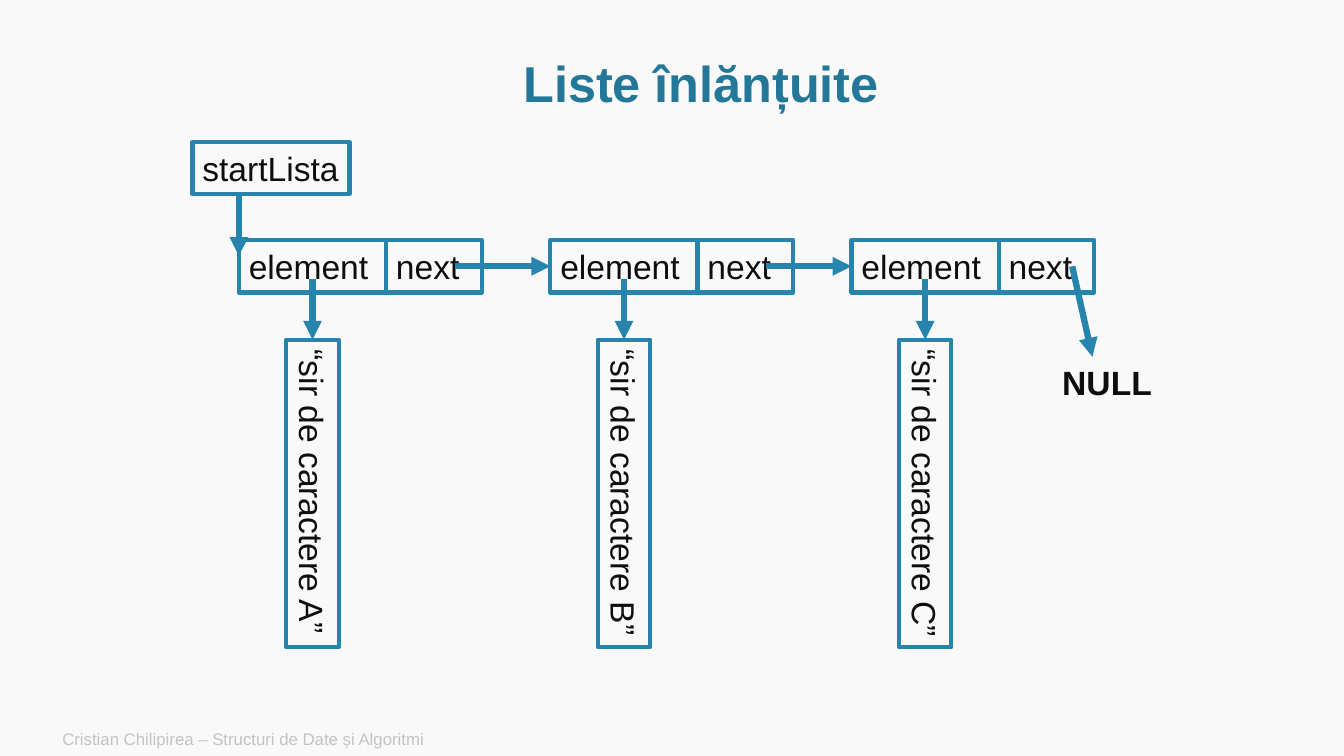
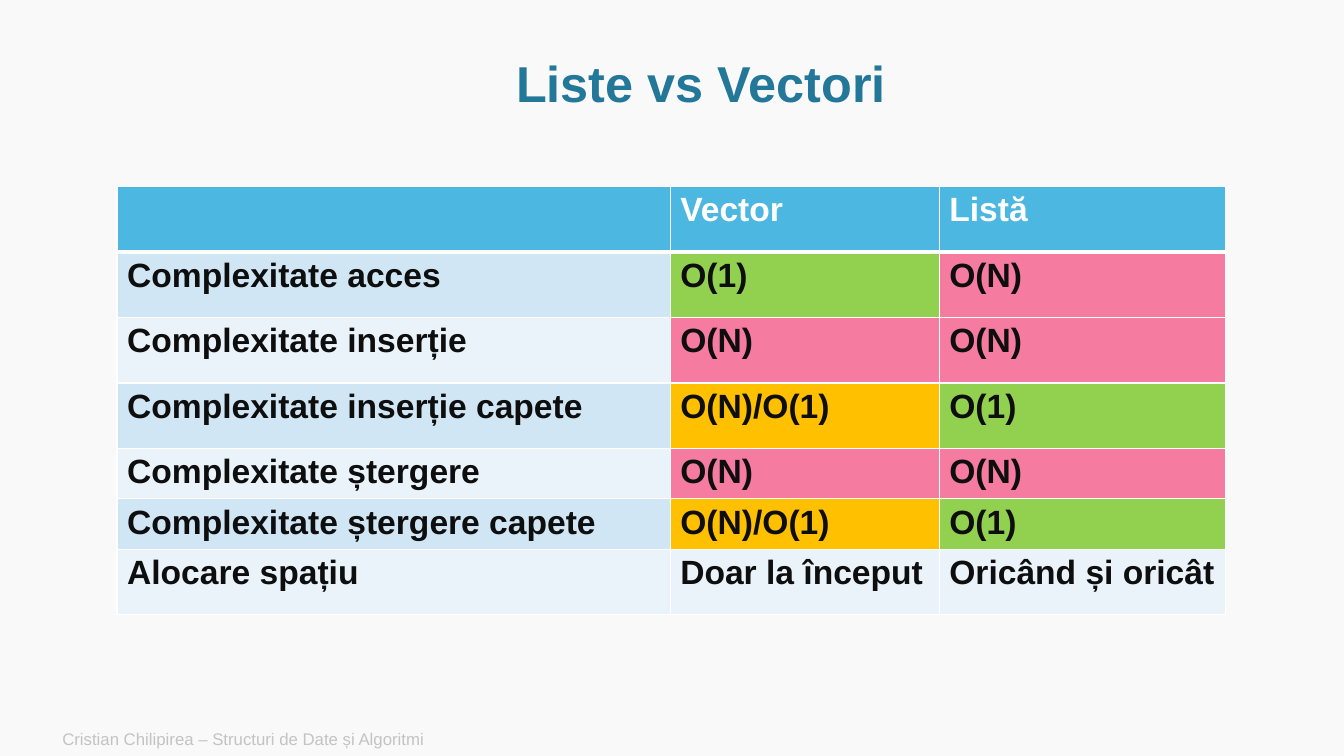
from pptx import Presentation
from pptx.dml.color import RGBColor
from pptx.enum import shapes, text
from pptx.oxml import parse_xml
from pptx.oxml.ns import nsdecls
from pptx.util import Cm, Pt

FONT = "Arial"
BACKGROUND = RGBColor(0xF9, 0xF9, 0xF9)
TITLE = RGBColor(0x23, 0x77, 0x98)
OUTLINE = RGBColor(0x27, 0x85, 0xAD)
INK = RGBColor(0x0E, 0x0E, 0x0E)
MUTED = RGBColor(0xC3, 0xC3, 0xC3)
WHITE = RGBColor(0xFF, 0xFF, 0xFF)
HEADER = RGBColor(0x4C, 0xB7, 0xE1)
BANDS = (RGBColor(0xD0, 0xE6, 0xF4), RGBColor(0xE9, 0xF3, 0xF9))
COST_COLORS = {
    "O(1)": RGBColor(0x92, 0xD0, 0x50),
    "O(N)": RGBColor(0xF5, 0x7B, 0xA1),
    "O(N)/O(1)": RGBColor(0xFF, 0xC0, 0x00),
}

FOOTER = "Cristian Chilipirea – Structuri de Date și Algoritmi"
LIST_TITLE = "Liste înlănțuite"
NODES = [
    (6.02, "“sir de caractere A”"),
    (13.87, "“sir de caractere B”"),
    (21.46, "“sir de caractere C”"),
]
COMPARISON_TITLE = "Liste vs Vectori"
COMPARISON = [
    ("", "Vector", "Listă"),
    ("Complexitate acces", "O(1)", "O(N)"),
    ("Complexitate inserție", "O(N)", "O(N)"),
    ("Complexitate inserție capete", "O(N)/O(1)", "O(1)"),
    ("Complexitate ștergere", "O(N)", "O(N)"),
    ("Complexitate ștergere capete", "O(N)/O(1)", "O(1)"),
    ("Alocare spațiu", "Doar la început", "Oricând și oricât"),
]
COLUMN_WIDTHS = (13.94, 6.78, 7.21)
ROW_HEIGHTS = (1.65, 1.65, 1.65, 1.65, 1.2, 1.2, 1.65)

BOX_HEIGHT = 1.32
NODE_TOP = 6.05
NODE_MIDDLE = NODE_TOP + BOX_HEIGHT / 2
ELEMENT_WIDTH, NEXT_WIDTH = 3.71, 2.41
NEXT_ARROW_OFFSET = 5.44
STRING_TOP, STRING_LENGTH = 8.56, 7.75


def write(frame, content, size=24, color=INK, bold=False, align=None,
          anchor=None, wrap=None, line_spacing=None):
    if wrap is not None:
        frame.word_wrap = wrap
    if anchor is not None:
        frame.vertical_anchor = anchor
    paragraph = frame.paragraphs[0]
    paragraph.alignment = align
    paragraph.line_spacing = line_spacing
    paragraph.font.size = Pt(size)
    run = paragraph.add_run()
    run.text = content
    run.font.name = FONT
    run.font.size = Pt(size)
    run.font.bold = bold
    run.font.color.rgb = color


def add_label(slide, content, left, top, width, height, **style):
    label = slide.shapes.add_textbox(Cm(left), Cm(top), Cm(width), Cm(height))
    write(label.text_frame, content, **style)


def add_box(slide, content, left, top, width, rotation=0):
    box = slide.shapes.add_shape(shapes.MSO_SHAPE.RECTANGLE, Cm(left), Cm(top),
                                 Cm(width), Cm(BOX_HEIGHT))
    box.shadow.inherit = False
    box.fill.background()
    box.line.color.rgb = OUTLINE
    box.line.width = Pt(3)
    box.rotation = rotation
    write(box.text_frame, content, align=text.PP_ALIGN.LEFT,
          anchor=text.MSO_ANCHOR.MIDDLE, wrap=False)
    return box


def add_arrow(slide, start, end, target=None):
    arrow = slide.shapes.add_connector(shapes.MSO_CONNECTOR.STRAIGHT,
                                       *map(Cm, start + end))
    if target is not None:
        arrow.end_connect(target, 1)
        arrow.end_x, arrow.end_y = map(Cm, end)
    arrow.line.color.rgb = OUTLINE
    arrow.line.width = Pt(4.5)
    arrow.line._get_or_add_ln().append(
        parse_xml(f'<a:tailEnd {nsdecls("a")} type="triangle"/>'))
    arrow._element.spPr.append(parse_xml(f'<a:effectLst {nsdecls("a")}/>'))


def set_borders(cell, **widths):
    properties = cell._tc.get_or_add_tcPr()
    for side in "LRTB":
        properties.append(parse_xml(
            f'<a:ln{side} {nsdecls("a")} w="{Pt(widths.get(side, 1))}"><a:solidFill>'
            f'<a:srgbClr val="{WHITE}"/></a:solidFill></a:ln{side}>'))


def add_slide(prs, title):
    slide = prs.slides.add_slide(prs.slide_layouts[6])
    slide.background.fill.solid()
    slide.background.fill.fore_color.rgb = BACKGROUND
    add_label(slide, title, 2.9, 1.3, 29.54, 1.75, size=36, color=TITLE, bold=True,
              align=text.PP_ALIGN.CENTER, anchor=text.MSO_ANCHOR.MIDDLE,
              wrap=True, line_spacing=0.9)
    add_label(slide, FOOTER, 1.32, 18.19, 21.34, 0.86, size=12, color=MUTED,
              anchor=text.MSO_ANCHOR.MIDDLE, wrap=True)
    return slide


def build_linked_list(prs):
    slide = add_slide(prs, LIST_TITLE)
    start_top = 3.58
    first_left = NODES[0][0]
    add_box(slide, "startLista", 4.85, start_top, 3.96)
    add_arrow(slide, (first_left, start_top + BOX_HEIGHT), (first_left, 6.45))

    elements = []
    for left, value in NODES:
        center = left + ELEMENT_WIDTH / 2
        elements.append(add_box(slide, "element", left, NODE_TOP, ELEMENT_WIDTH))
        add_box(slide, "next", left + ELEMENT_WIDTH, NODE_TOP, NEXT_WIDTH)
        string = add_box(slide, value, center - STRING_LENGTH / 2,
                         STRING_TOP + (STRING_LENGTH - BOX_HEIGHT) / 2,
                         STRING_LENGTH, rotation=90)
        add_arrow(slide, (center, 7.04), (center, STRING_TOP), string)

    for (left, _), (following, _), element in zip(NODES, NODES[1:], elements[1:]):
        add_arrow(slide, (left + NEXT_ARROW_OFFSET, NODE_MIDDLE),
                  (following, NODE_MIDDLE), element)
    add_arrow(slide, (27.02, NODE_MIDDLE), (27.53, 8.99))
    add_label(slide, "NULL", 26.52, 8.99, 2.79, 1.27, bold=True, wrap=False)


def build_comparison(prs):
    slide = add_slide(prs, COMPARISON_TITLE)
    table = slide.shapes.add_table(
        len(COMPARISON), len(COLUMN_WIDTHS), Cm(2.95), Cm(4.7),
        Cm(sum(COLUMN_WIDTHS)), Cm(sum(ROW_HEIGHTS))).table
    for column, width in zip(table.columns, COLUMN_WIDTHS):
        column.width = Cm(width)
    for index, (row, height, entries) in enumerate(
            zip(table.rows, ROW_HEIGHTS, COMPARISON)):
        row.height = Cm(height)
        is_header = index == 0
        base = HEADER if is_header else BANDS[(index - 1) % 2]
        for cell, entry in zip(row.cells, entries):
            set_borders(cell, B=3 if is_header else 1, T=3 if index == 1 else 1)
            cell.fill.solid()
            cell.fill.fore_color.rgb = COST_COLORS.get(entry, base)
            if entry:
                write(cell.text_frame, entry, bold=True,
                      color=WHITE if is_header else INK)


def main():
    prs = Presentation()
    prs.slide_width, prs.slide_height = Cm(33.87), Cm(19.05)
    build_linked_list(prs)
    build_comparison(prs)
    prs.save("out.pptx")


if __name__ == "__main__":
    main()
